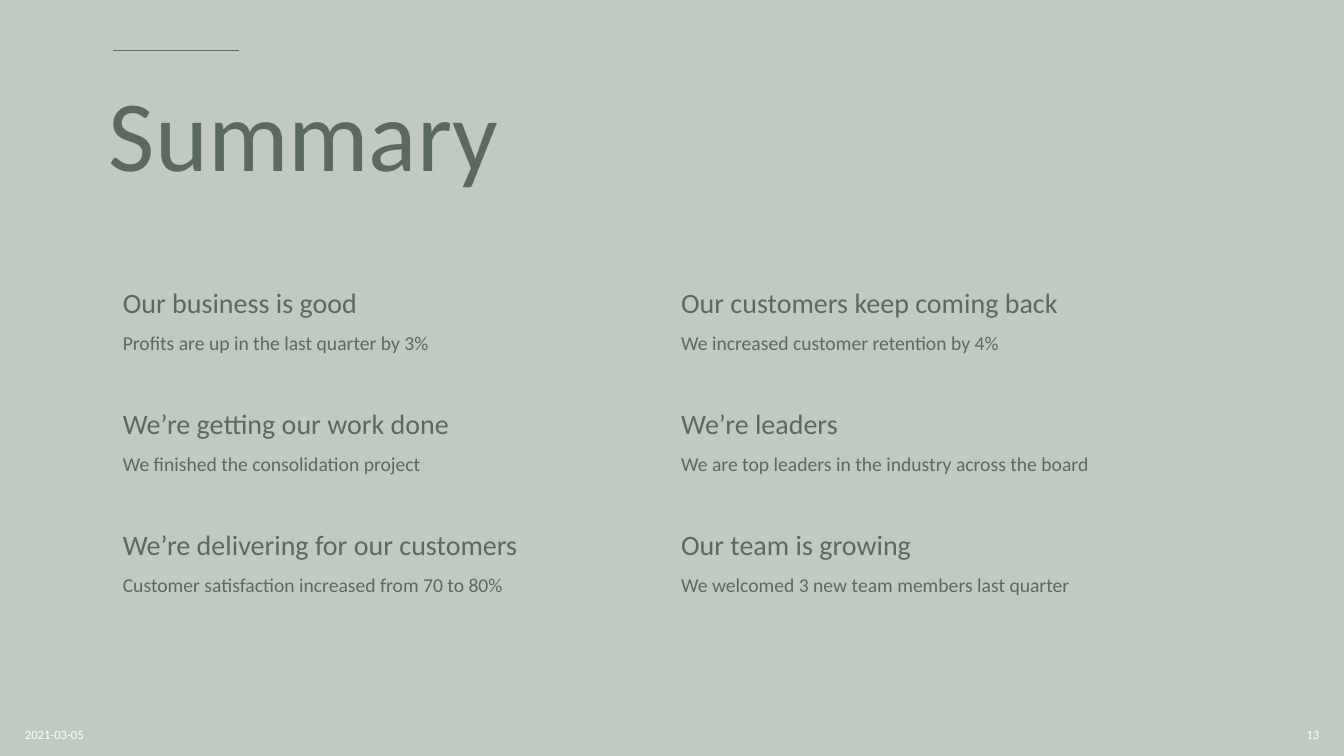
from dataclasses import dataclass

from lxml import etree
from pptx import Presentation
from pptx import util as u
from pptx.dml.color import RGBColor
from pptx.enum import shapes, text
from pptx.oxml import ns


@dataclass(frozen=True)
class Theme:
    """Colours, font and type sizes of the slide."""
    background: str = "C0C9C2"
    ink: str = "5B6A5E"
    footer: str = "FFFFFF"
    font: str = "Calibri"
    title_size: int = 72
    heading_size: int = 20
    detail_size: int = 14
    footer_size: int = 9


THEME = Theme()
ROWS = [
    [("Our business is good", "Profits are up in the last quarter by 3%"),
     ("Our customers keep coming back", "We increased customer retention by 4%")],
    [("We’re getting our work done", "We finished the consolidation project"),
     ("We’re leaders", "We are top leaders in the industry across the board")],
    [("We’re delivering for our customers", "Customer satisfaction increased from 70 to 80%"),
     ("Our team is growing", "We welcomed 3 new team members last quarter")],
]


def set_all(target, values):
    """Set each named attribute on the target."""
    for name, value in values.items():
        setattr(target, name, value)


def write(p, words, size, color, **layout):
    """Write one formatted run into a paragraph."""
    set_all(p, layout)
    r = p.add_run()
    r.text = words
    set_all(r.font, {"name": THEME.font, "size": u.Pt(size), "bold": False})
    r.font.color.rgb = RGBColor.from_string(color)


def add_title(s, words):
    """Place and format the title placeholder."""
    sp = s.shapes.title
    set_all(sp, {"left": u.Cm(2.49), "top": u.Cm(1.6),
                 "width": u.Cm(28.22), "height": u.Cm(3.81)})
    tf = sp.text_frame
    set_all(tf, {"word_wrap": True, "auto_size": text.MSO_AUTO_SIZE.NONE,
                 "vertical_anchor": text.MSO_ANCHOR.MIDDLE})
    write(tf.paragraphs[0], words, THEME.title_size, THEME.ink,
          line_spacing=0.9, alignment=text.PP_ALIGN.LEFT)


def add_rule(s, left, top, width):
    """Draw a thin horizontal line."""
    line = s.shapes.add_connector(shapes.MSO_CONNECTOR.STRAIGHT, u.Cm(left), u.Cm(top),
                                  u.Cm(left + width), u.Cm(top))
    line.line.width = u.Pt(1.25)
    line.line.color.rgb = RGBColor.from_string(THEME.ink)
    etree.SubElement(line._element.spPr, ns.qn("a:effectLst"))


def clear_cell(cell):
    """Remove the borders and fill of a table cell."""
    tc_pr = cell._tc.get_or_add_tcPr()
    for side in ("lnL", "lnR", "lnT", "lnB"):
        border = etree.SubElement(tc_pr, ns.qn(f"a:{side}"), w="0")
        etree.SubElement(border, ns.qn("a:noFill"))
    cell.fill.background()


def add_summary(s, rows):
    """Add the table of headings with their details."""
    row_height = u.Cm(3.05)
    frame = s.shapes.add_table(len(rows), len(rows[0]), u.Cm(2.84), u.Cm(7.14),
                               u.Cm(28.14), row_height * len(rows))
    table = frame.table
    set_all(table, {"first_row": False, "horz_banding": False})
    for i, row in enumerate(rows):
        table.rows[i].height = row_height
        for j, (heading, detail) in enumerate(row):
            cell = table.cell(i, j)
            clear_cell(cell)
            tf = cell.text_frame
            write(tf.paragraphs[0], heading, THEME.heading_size, THEME.ink, line_spacing=0.9)
            write(tf.add_paragraph(), detail, THEME.detail_size, THEME.ink,
                  line_spacing=0.9, space_before=u.Pt(10))


def add_footer(s, words, left, alignment):
    """Add a small text box at the foot of the slide."""
    sp = s.shapes.add_textbox(u.Cm(left), u.Cm(18.01), u.Cm(7.62), u.Cm(1.02))
    tf = sp.text_frame
    set_all(tf, {"word_wrap": True, "vertical_anchor": text.MSO_ANCHOR.MIDDLE})
    write(tf.paragraphs[0], words, THEME.footer_size, THEME.footer, alignment=alignment)


def main():
    """Build and save the summary slide."""
    prs = Presentation()
    set_all(prs, {"slide_width": u.Cm(33.87), "slide_height": u.Cm(19.05)})
    s = prs.slides.add_slide(prs.slide_layouts.get_by_name("Title Only"))
    s.background.fill.solid()
    s.background.fill.fore_color.rgb = RGBColor.from_string(THEME.background)
    add_rule(s, 2.84, 1.27, 3.18)
    add_title(s, "Summary")
    add_summary(s, ROWS)
    add_footer(s, "2021-03-05", 0.38, text.PP_ALIGN.LEFT)
    add_footer(s, "13", 25.88, text.PP_ALIGN.RIGHT)
    prs.save("out.pptx")


if __name__ == "__main__":
    main()
